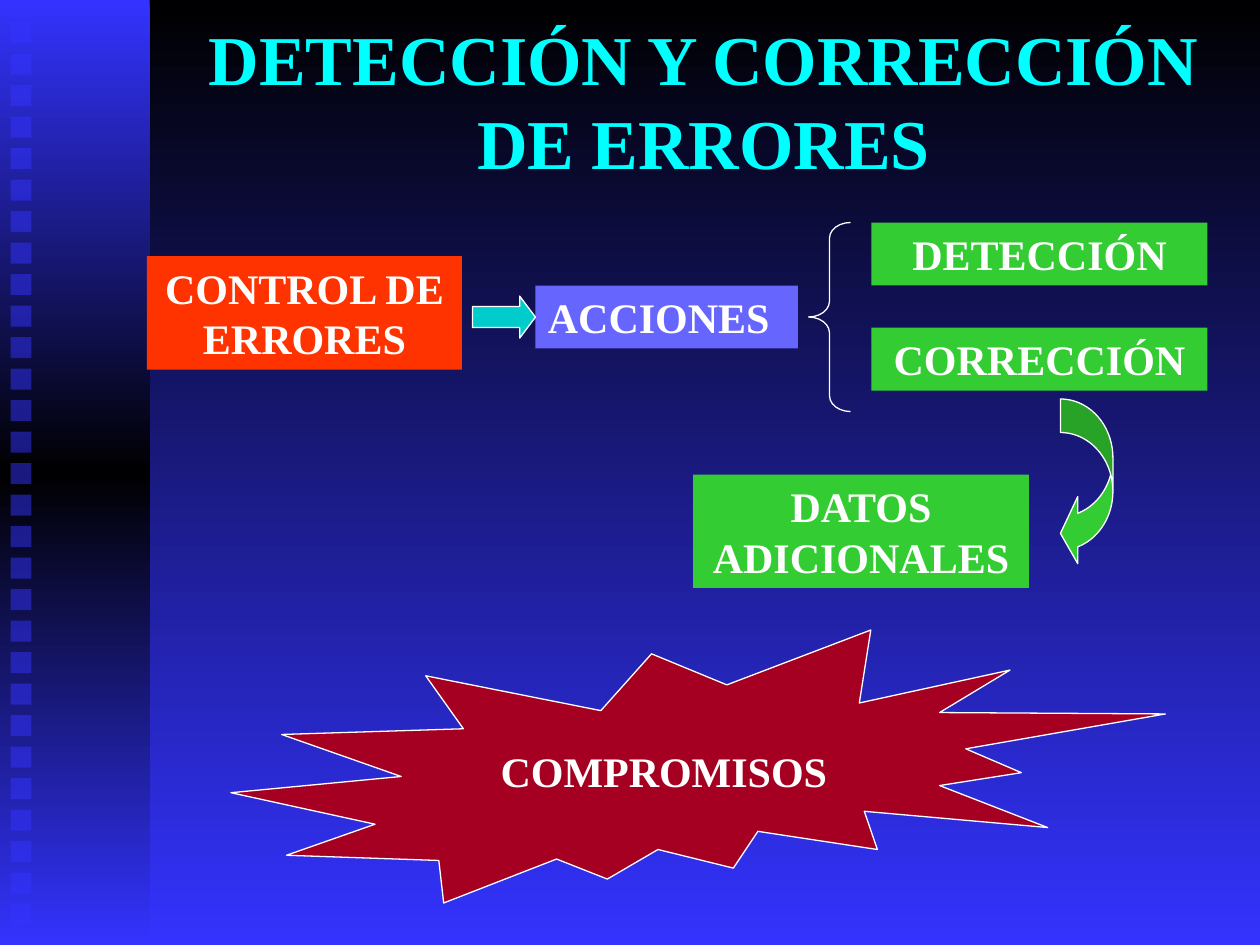
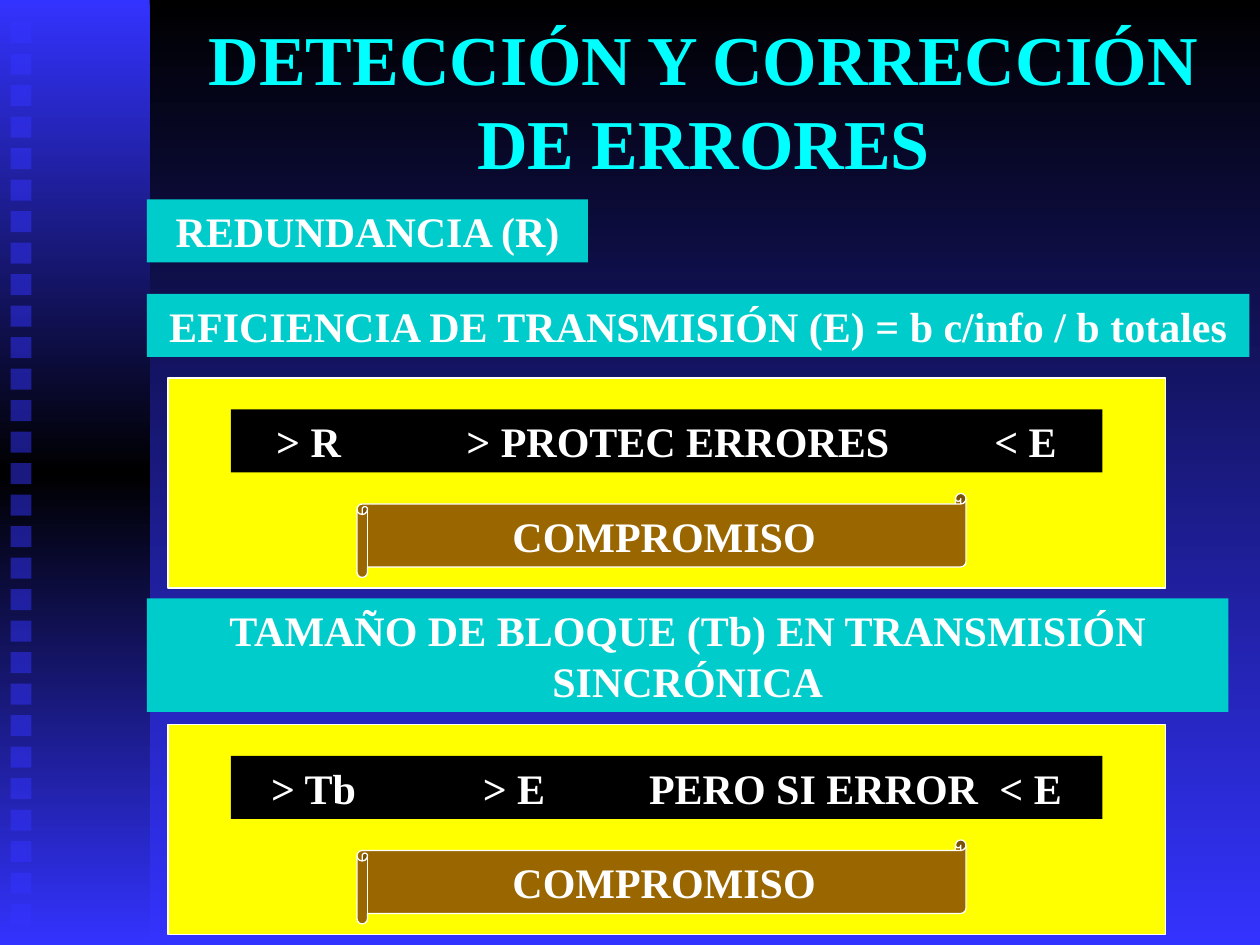
from copy import deepcopy

from lxml.etree import SubElement
from pptx import Presentation
from pptx.dml.color import RGBColor
from pptx.enum.shapes import MSO_SHAPE
from pptx.enum.text import MSO_ANCHOR, MSO_AUTO_SIZE, PP_ALIGN
from pptx.oxml.ns import qn
from pptx.util import Inches, Pt

WIDTH, HEIGHT = Inches(10), Inches(7.5)
COLUMNS, ROWS = 120, 90
FONT = "Times New Roman"
TITLE = "DETECCIÓN Y CORRECCIÓN DE ERRORES"

BLACK = RGBColor(0x00, 0x00, 0x00)
WHITE = RGBColor(0xFF, 0xFF, 0xFF)
BLUE = RGBColor(0x33, 0x33, 0xFF)
LAVENDER = RGBColor(0x66, 0x66, 0xFF)
CYAN = RGBColor(0x00, 0xFF, 0xFF)
TEAL = RGBColor(0x00, 0xCC, 0xCC)
GREEN = RGBColor(0x33, 0xCC, 0x33)
ORANGE = RGBColor(0xFF, 0x33, 0x00)
CRIMSON = RGBColor(0xA5, 0x00, 0x21)
YELLOW = RGBColor(0xFF, 0xFF, 0x00)
BROWN = RGBColor(0x99, 0x66, 0x00)


def grid(column, row, columns, rows):
    return (round(WIDTH * column / COLUMNS), round(HEIGHT * row / ROWS),
            round(WIDTH * columns / COLUMNS), round(HEIGHT * rows / ROWS))


def paint_gradient(fill, owner, colours):
    fill.gradient()
    fill.gradient_angle = 270
    stops = next(owner.iter(qn("a:gsLst")))
    while len(stops) < len(colours):
        stops.append(deepcopy(stops[0]))
    for index, (stop, colour) in enumerate(zip(fill.gradient_stops, colours)):
        stop.color.rgb = colour
        stop.position = index / (len(colours) - 1)


def add_figure(slide, preset, area, colour=None, outlined=True, adjustments=()):
    figure = slide.shapes.add_shape(preset, *grid(*area))
    figure.shadow.inherit = False
    for index, value in enumerate(adjustments):
        figure.adjustments[index] = value
    if colour is None:
        figure.fill.background()
    else:
        figure.fill.solid()
        figure.fill.fore_color.rgb = colour
    if outlined:
        figure.line.color.rgb = WHITE
        figure.line.width = Pt(0.75)
    else:
        figure.line.fill.background()
    return figure


def write(frame, text, size=24, colour=WHITE, align=PP_ALIGN.CENTER):
    frame.text = text
    paragraph = frame.paragraphs[0]
    paragraph.alignment = align
    for run in paragraph.runs:
        run.font.name = FONT
        run.font.size = Pt(size)
        run.font.bold = True
        run.font.color.rgb = colour
    return paragraph


def add_label(slide, area, text, colour, align=PP_ALIGN.CENTER):
    frame = add_figure(slide, MSO_SHAPE.RECTANGLE, area, colour, outlined=False).text_frame
    frame.word_wrap = True
    frame.auto_size = MSO_AUTO_SIZE.SHAPE_TO_FIT_TEXT
    frame.vertical_anchor = MSO_ANCHOR.TOP
    paragraph = write(frame, text, align=align)
    paragraph.space_before = Pt(15)
    return paragraph


def add_emblem(slide, preset, area, text, colour):
    frame = add_figure(slide, preset, area, colour).text_frame
    frame.word_wrap = False
    frame.vertical_anchor = MSO_ANCHOR.MIDDLE
    write(frame, text)


def add_relation(slide, area, terms, stops):
    text = "".join("\t" + term for term in terms)
    paragraph = add_label(slide, area, text, BLACK, PP_ALIGN.LEFT)
    tabs = SubElement(paragraph._p.get_or_add_pPr(), qn("a:tabLst"))
    for stop in stops:
        SubElement(tabs, qn("a:tab"), pos=str(Inches(stop)), algn="l")


def add_tradeoff(slide, row, terms, stops):
    add_figure(slide, MSO_SHAPE.RECTANGLE, (16, row, 95, 20), YELLOW)
    add_relation(slide, (22, row + 3, 83, 6), terms, stops)
    add_emblem(slide, MSO_SHAPE.HORIZONTAL_SCROLL, (34, row + 11, 58, 8), "COMPROMISO", BROWN)


def decorate(layout, slide):
    master = layout.slide_master
    paint_gradient(master.background.fill, master.element, [BLACK, BLUE])
    band = add_figure(slide, MSO_SHAPE.RECTANGLE, (0, 0, 14.25, ROWS), BLUE, outlined=False)
    paint_gradient(band.fill, band._element, [BLUE, BLACK, BLUE])
    decorations = [band]
    for step in range(29):
        square = add_figure(slide, MSO_SHAPE.RECTANGLE, (1, 2.1 + 3 * step, 2, 2),
                            BLUE, outlined=False)
        tint = next(square._element.iter(qn("a:srgbClr")))
        SubElement(tint, qn("a:alpha"), val="50000")
        decorations.append(square)
    for index, decoration in enumerate(decorations):
        layout.shapes._spTree.insert(2 + index, decoration._element)


def add_title(slide):
    title = slide.shapes.title
    title.left, title.top, title.width, title.height = grid(16, 2, 102, 15)
    frame = title.text_frame
    frame.word_wrap = True
    frame.auto_size = MSO_AUTO_SIZE.NONE
    frame.vertical_anchor = MSO_ANCHOR.MIDDLE
    write(frame, TITLE, 40, CYAN)


def fill_error_control(slide):
    add_title(slide)
    add_label(slide, (14, 24.4, 30, 10.8), "CONTROL DE ERRORES", ORANGE)
    for row, action in ((21.2, "DETECCIÓN"), (31.2, "CORRECCIÓN")):
        add_label(slide, (83, row, 32, 6), action, GREEN)
    add_label(slide, (51, 27.2, 25, 6), "ACCIONES", LAVENDER, PP_ALIGN.LEFT)
    add_figure(slide, MSO_SHAPE.RIGHT_ARROW, (45, 28.2, 6, 4), TEAL, adjustments=(0.5, 0.375))
    add_figure(slide, MSO_SHAPE.LEFT_BRACE, (77, 21.2, 4, 18), adjustments=(0.375, 0.5))
    add_label(slide, (66, 45.2, 32, 10.8), "DATOS ADICIONALES", GREEN)
    add_figure(slide, MSO_SHAPE.CURVED_LEFT_ARROW, (101, 38, 5, 16), GREEN,
               adjustments=(0.64, 1.28, 0.33))
    add_emblem(slide, MSO_SHAPE.EXPLOSION2, (22, 60, 89, 26), "COMPROMISOS", CRIMSON)


def fill_tradeoffs(slide):
    add_title(slide)
    add_label(slide, (14, 19, 42, 6), "REDUNDANCIA (R)", TEAL)
    add_label(slide, (14, 28, 105, 6),
              "EFICIENCIA DE TRANSMISIÓN (E) = b c/info / b totales", TEAL)
    add_tradeoff(slide, 36, ("> R", "> PROTEC ERRORES", "< E"), (0.26, 1.77, 5.96))
    add_label(slide, (14, 57, 103, 10.8),
              "TAMAÑO DE BLOQUE (Tb) EN TRANSMISIÓN SINCRÓNICA", TEAL)
    add_tradeoff(slide, 69, ("> Tb", "> E", "PERO SI ERROR", "< E"), (0.22, 1.9, 3.22, 6))


def main():
    deck = Presentation()
    deck.slide_width, deck.slide_height = WIDTH, HEIGHT
    layout = deck.slide_layouts[5]
    error_control, tradeoffs = (deck.slides.add_slide(layout) for _ in range(2))
    decorate(layout, error_control)
    fill_error_control(error_control)
    fill_tradeoffs(tradeoffs)
    deck.save("out.pptx")


if __name__ == "__main__":
    main()
